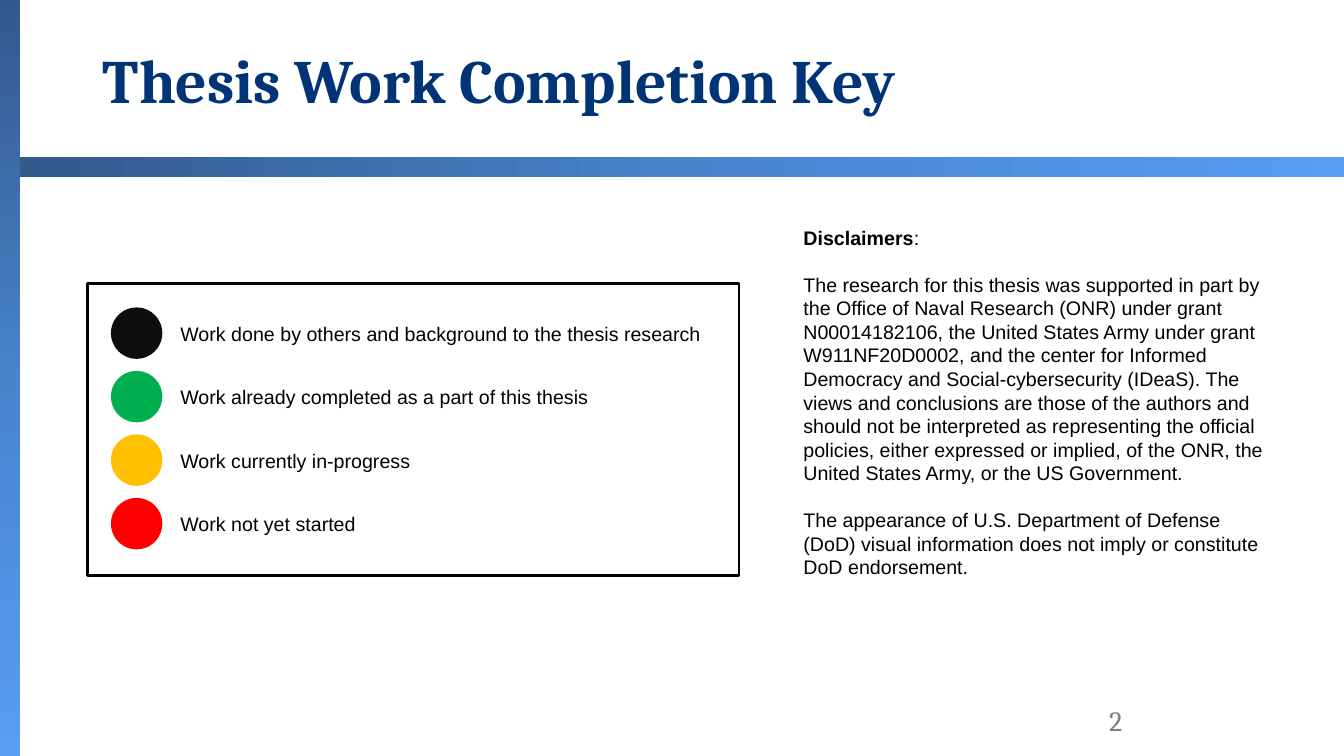
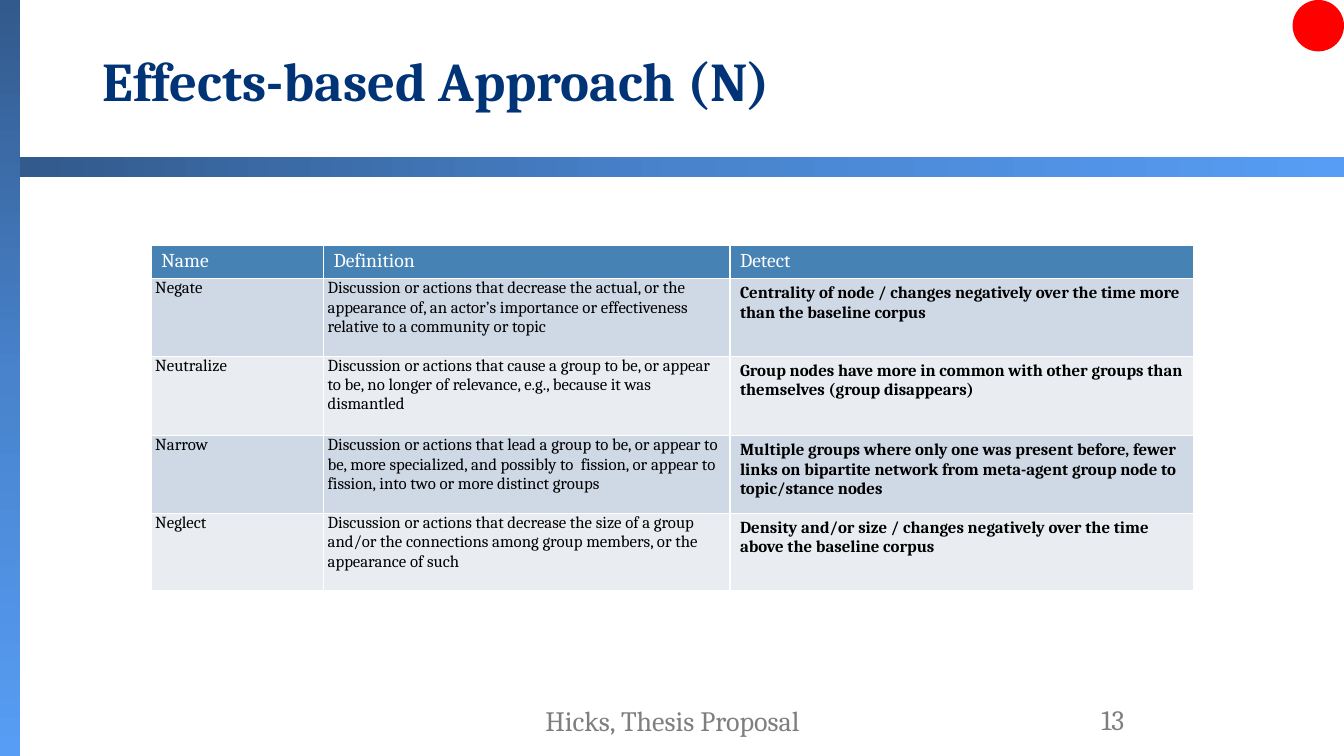
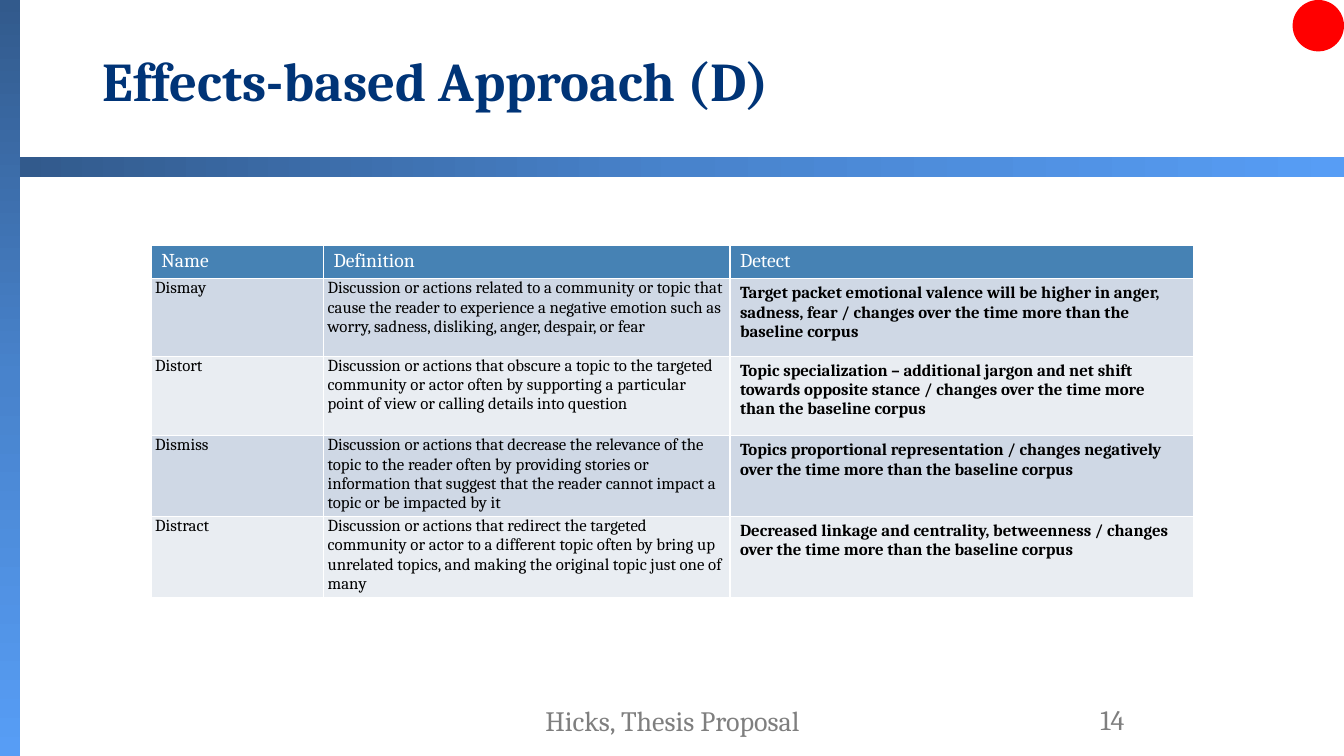
from copy import deepcopy
from dataclasses import dataclass

from pptx import Presentation
from pptx.dml.color import RGBColor
from pptx.enum.shapes import MSO_SHAPE
from pptx.enum.text import MSO_ANCHOR, PP_ALIGN
from pptx.oxml.ns import qn
from pptx.util import Inches, Pt


@dataclass(frozen=True)
class Theme:
    serif: str = "Cambria"
    sans: str = "Arial"
    title: str = "003477"
    text: str = "000000"
    white: str = "FFFFFF"
    muted: str = "7F7F7F"
    background: str = "0D0D0D"
    done: str = "00B050"
    in_progress: str = "FFC000"
    not_started: str = "FF0000"
    header: str = "4682B4"
    rows: tuple = ("CFD8E5", "E9EDF2")
    band: tuple = ("325A8C", "4883CC", "579DF5")
    title_size: int = 44
    long_title_size: int = 39
    footer_size: int = 20
    body_size: int = 14
    cell_size: int = 12


THEME = Theme()
DOT = 0.51


def rgb(value):
    return RGBColor.from_string(value)


def set_font(p, name, size, color, bold=False):
    p.font.name = name
    p.font.size = Pt(size)
    p.font.color.rgb = rgb(color)
    p.font.bold = bold


class Deck:
    """Holds the theme and the current slide."""

    def __init__(self, theme):
        self.theme = theme
        self.prs = Presentation()
        self.prs.slide_width = Inches(13.33)
        self.prs.slide_height = Inches(7.5)
        self.slide = None

    def add_slide(self, title, size):
        t = self.theme
        self.slide = self.prs.slides.add_slide(self.prs.slide_layouts[5])
        self.band(0, 0, 0.2, 7.5, 270)
        self.band(0.2, 1.56, 13.13, 0.2, 0)
        sp = self.slide.shapes.title
        sp.left, sp.top = Inches(0.92), Inches(0.16)
        sp.width, sp.height = Inches(11.5), Inches(1.34)
        tf = sp.text_frame
        tf.text = title
        tf.word_wrap = True
        tf.vertical_anchor = MSO_ANCHOR.MIDDLE
        p = tf.paragraphs[0]
        p.alignment = PP_ALIGN.LEFT
        p.line_spacing = 0.9
        set_font(p, t.serif, size, t.title, True)

    def shape(self, kind, x, y, w, h):
        sp = self.slide.shapes.add_shape(
            kind, Inches(x), Inches(y), Inches(w), Inches(h))
        sp.shadow.inherit = False
        sp.line.fill.background()
        return sp

    def band(self, x, y, w, h, angle):
        fill = self.shape(MSO_SHAPE.RECTANGLE, x, y, w, h)
        stops_xml = None
        sp, fill = fill, fill.fill
        fill.gradient()
        fill.gradient_angle = angle
        stops_xml = next(sp._element.spPr.iter(qn("a:gsLst")))
        stops_xml.insert(1, deepcopy(stops_xml[0]))
        for i, (stop, color) in enumerate(zip(fill.gradient_stops, self.theme.band)):
            stop.position = i / 2
            stop.color.rgb = rgb(color)

    def dot(self, x, y, color):
        sp = self.shape(MSO_SHAPE.OVAL, x, y, DOT, DOT)
        sp.fill.solid()
        sp.fill.fore_color.rgb = rgb(color)

    def frame(self, x, y, w, h):
        sp = self.shape(MSO_SHAPE.RECTANGLE, x, y, w, h)
        sp.fill.background()
        sp.line.color.rgb = rgb(self.theme.text)
        sp.line.width = Pt(2)

    def text_box(self, x, y, w, h):
        tf = self.slide.shapes.add_textbox(
            Inches(x), Inches(y), Inches(w), Inches(h)).text_frame
        tf.word_wrap = True
        return tf

    def label(self, text, x, y, w, h):
        tf = self.text_box(x, y, w, h)
        tf.text = text
        set_font(tf.paragraphs[0], self.theme.sans, self.theme.body_size, self.theme.text)

    def footer(self, text, x, y, w, align):
        tf = self.text_box(x, y, w, 0.4)
        tf.text = text
        tf.vertical_anchor = MSO_ANCHOR.MIDDLE
        p = tf.paragraphs[0]
        p.alignment = align
        set_font(p, self.theme.serif, self.theme.footer_size, self.theme.muted)

    def notice(self, heading, paragraphs, x, y, w, h):
        """Bold heading with a colon, then paragraphs one line apart."""
        t = self.theme
        tf = self.text_box(x, y, w, h)
        p = tf.paragraphs[0]
        set_font(p, t.sans, t.body_size, t.text)
        r = p.add_run()
        r.text = heading
        r.font.bold = True
        p.add_run().text = ":"
        for text in paragraphs:
            p = tf.add_paragraph()
            p.text = text
            p.space_before = Pt(16.8)
            set_font(p, t.sans, t.body_size, t.text)

    def table(self, rows, x, y, widths, heights):
        t = self.theme
        table = self.slide.shapes.add_table(
            len(rows), len(widths), Inches(x), Inches(y),
            Inches(sum(widths)), Inches(sum(heights))).table
        table.horz_banding = False
        for column, width in zip(table.columns, widths):
            column.width = Inches(width)
        for i, (row, height) in enumerate(zip(rows, heights)):
            table.rows[i].height = Inches(height)
            for j, text in enumerate(row):
                cell = table.cell(i, j)
                cell.text = text
                cell.fill.solid()
                p = cell.text_frame.paragraphs[0]
                if i == 0:
                    cell.fill.fore_color.rgb = rgb(t.header)
                    set_font(p, t.serif, t.body_size, t.white)
                    continue
                cell.fill.fore_color.rgb = rgb(t.rows[(i - 1) % 2])
                set_font(p, t.serif, t.cell_size, t.text, j == 2)
                if j < 2:
                    cell.margin_left = cell.margin_right = Inches(0.04)
                    cell.margin_top = cell.margin_bottom = 0


def key_slide(deck):
    t = deck.theme
    deck.add_slide("Thesis Work Completion Key", t.title_size)
    deck.footer("2", 9.42, 6.95, 1.81, PP_ALIGN.RIGHT)
    deck.frame(0.87, 2.81, 6.46, 2.9)
    key = [
        (t.background, "Work done by others and background to the thesis research"),
        (t.done, "Work already completed as a part of this thesis"),
        (t.in_progress, "Work currently in-progress"),
        (t.not_started, "Work not yet started"),
    ]
    for i, (color, text) in enumerate(key):
        y = 3.05 + 0.63 * i
        deck.dot(1.1, y, color)
        deck.label(text, 1.69, y + 0.09, 5.64, 0.34)
    deck.notice("Disclaimers", [
        "The research for this thesis was supported in part by the Office of Naval "
        "Research (ONR) under grant N00014182106, the United States Army under grant "
        "W911NF20D0002, and the center for Informed Democracy and Social-cybersecurity "
        "(IDeaS). The views and conclusions are those of the authors and should not be "
        "interpreted as representing the official policies, either expressed or implied, "
        "of the ONR, the United States Army, or the US Government.",
        "The appearance of U.S. Department of Defense (DoD) visual information does not "
        "imply or constitute DoD endorsement.",
    ], 7.87, 2.19, 4.9, 3.64)


def effects_slide(deck, letter, number, effects):
    t = deck.theme
    deck.add_slide(f"Effects-based Approach ({letter})", t.long_title_size)
    deck.footer(number, 9.44, 6.94, 1.81, PP_ALIGN.RIGHT)
    deck.footer("Hicks, Thesis Proposal", 4.42, 6.95, 4.5, PP_ALIGN.CENTER)
    deck.table([("Name", "Definition", "Detect"), *effects], 1.5, 2.43,
               (1.71, 4.03, 4.6), (0.32, 0.77, 0.79, 0.77, 0.77))
    deck.dot(12.82, 0, t.not_started)


N_EFFECTS = [
    ("Negate",
     "Discussion or actions that decrease the actual, or the appearance of, an actor’s "
     "importance or effectiveness relative to a community or topic",
     "Centrality of node / changes negatively over the time more than the baseline corpus"),
    ("Neutralize",
     "Discussion or actions that cause a group to be, or appear to be, no longer of "
     "relevance, e.g., because it was dismantled",
     "Group nodes have more in common with other groups than themselves (group disappears)"),
    ("Narrow",
     "Discussion or actions that lead a group to be, or appear to be, more specialized, "
     "and possibly to  fission, or appear to fission, into two or more distinct groups",
     "Multiple groups where only one was present before, fewer links on bipartite network "
     "from meta-agent group node to topic/stance nodes"),
    ("Neglect",
     "Discussion or actions that decrease the size of a group and/or the connections among "
     "group members, or the appearance of such",
     "Density and/or size / changes negatively over the time above the baseline corpus"),
]

D_EFFECTS = [
    ("Dismay",
     "Discussion or actions related to a community or topic that cause the reader to "
     "experience a negative emotion such as worry, sadness, disliking, anger, despair, or fear",
     "Target packet emotional valence will be higher in anger, sadness, fear / changes over "
     "the time more than the baseline corpus"),
    ("Distort",
     "Discussion or actions that obscure a topic to the targeted community or actor often by "
     "supporting a particular point of view or calling details into question",
     "Topic specialization – additional jargon and net shift towards opposite stance / "
     "changes over the time more than the baseline corpus"),
    ("Dismiss",
     "Discussion or actions that decrease the relevance of the topic to the reader often by "
     "providing stories or information that suggest that the reader cannot impact a topic or "
     "be impacted by it",
     "Topics proportional representation / changes negatively over the time more than the "
     "baseline corpus"),
    ("Distract",
     "Discussion or actions that redirect the targeted community or actor to a different "
     "topic often by bring up unrelated topics, and making the original topic just one of many",
     "Decreased linkage and centrality, betweenness / changes over the time more than the "
     "baseline corpus"),
]


def main():
    deck = Deck(THEME)
    key_slide(deck)
    effects_slide(deck, "N", "13", N_EFFECTS)
    effects_slide(deck, "D", "14", D_EFFECTS)
    deck.prs.save("out.pptx")


if __name__ == "__main__":
    main()
